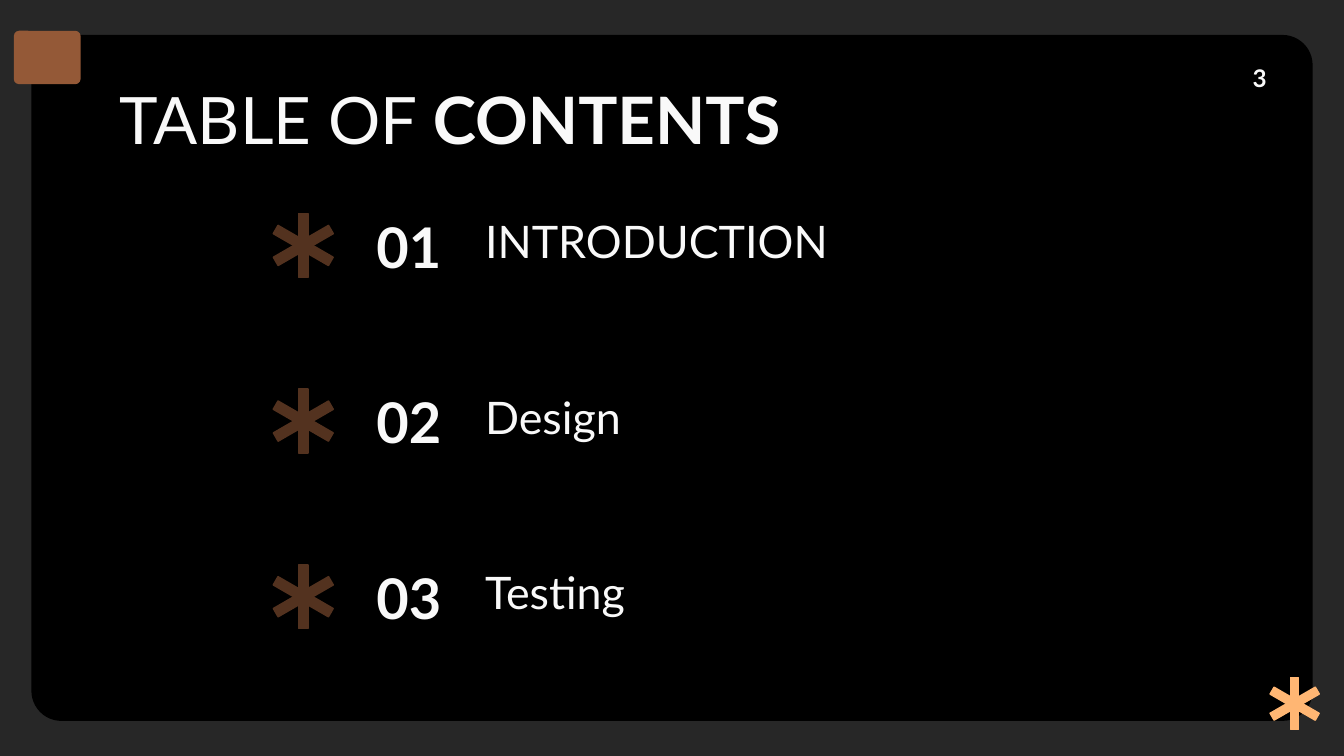
from pptx import Presentation
from pptx.dml.color import RGBColor
from pptx.enum.shapes import MSO_SHAPE
from pptx.enum.text import MSO_ANCHOR, MSO_AUTO_SIZE, PP_ALIGN
from pptx.util import Pt

RECT, ROUND = MSO_SHAPE.RECTANGLE, MSO_SHAPE.ROUNDED_RECTANGLE
TOP, MIDDLE, BOTTOM = MSO_ANCHOR.TOP, MSO_ANCHOR.MIDDLE, MSO_ANCHOR.BOTTOM
LEFT, NO_FIT = PP_ALIGN.LEFT, MSO_AUTO_SIZE.NONE

COLORS = {
    "background": "272727",
    "panel": "000000",
    "tab": "945937",
    "accent": "FFB673",
    "bullet": "53321F",
    "text": "F9F9F9",
}
INSET = Pt(7.2)
FRAME = {"word_wrap": True, "auto_size": NO_FIT, "margin_left": INSET,
         "margin_right": INSET, "margin_top": INSET, "margin_bottom": INSET}
ENTRIES = [("01", "INTRODUCTION"), ("02", "Design"), ("03", "Testing")]
ROW_PITCH = 94.1


def color(name):
    return RGBColor.from_string(COLORS[name])


def set_all(target, values):
    for name, value in values.items():
        setattr(target, name, value)


def place(sp, box):
    set_all(sp, dict(zip(("left", "top", "width", "height"), map(Pt, box))))


def write(sp, runs, size, anchor=TOP):
    tf = sp.text_frame
    set_all(tf, {**FRAME, "vertical_anchor": anchor})
    p = tf.paragraphs[0]
    p.alignment = LEFT
    for text, bold in runs:
        r = p.add_run()
        r.text = text
        set_all(r.font, {"name": "Lato", "size": Pt(size), "bold": bold})
        r.font.color.rgb = color("text")


def add_text(s, box, text, size, bold=False, anchor=TOP):
    sp = s.shapes.add_textbox(*map(Pt, box))
    write(sp, [(text, bold)], size, anchor)


def add_block(shapes, kind, box, fill):
    sp = shapes.add_shape(kind, *map(Pt, box))
    sp.shadow.inherit = False
    sp.fill.solid()
    sp.fill.fore_color.rgb = color(fill)
    sp.line.fill.background()
    return sp


def add_asterisk(s, box, arm, fill):
    x, y, w, h = box
    group = s.shapes.add_group_shape()
    for angle in (0, 300, 60):
        sp = add_block(group.shapes, RECT, (x + (w - arm) / 2, y, arm, h), fill)
        sp.rotation = angle
        sp.line.color.rgb = color(fill)
        sp.line.width = Pt(0.75)


def add_backdrop(s, box):
    x, y, w, h = box
    s.background.fill.solid()
    s.background.fill.fore_color.rgb = color("background")
    panel = add_block(s.shapes, ROUND, (x + 16.8, y + 18.7, w - 33.6, h - 37.5), "panel")
    panel.adjustments[0] = 0.044
    tab = add_block(s.shapes, ROUND, (x + 7.4, y + 16.5, 35.8, 28.6), "tab")
    tab.adjustments[0] = 0.1
    add_asterisk(s, (x + w - 40.4, y + h - 42, 28, 28), 4.3, "accent")
    add_text(s, (x + w - 56, y + 26.6, 43.2, 31), "3", 13, True)


def add_title(s, box):
    title = s.shapes.title
    s.shapes.element.append(title.element)
    place(title, box)
    write(title, [("TABLE OF ", False), ("CONTENTS", True)], 35)


def add_entry(s, box, number, heading):
    x, y, w, h = box
    add_asterisk(s, (x, y + (h - 34.2) / 2, 34.2, 34.2), 5.2, "bullet")
    add_text(s, (x + 49.2, y + 0.2, 57.6, h), number, 30, True, MIDDLE)
    add_text(s, (x + 107.4, y + 4.2, w - 107.4, 38.2), heading, 24, anchor=BOTTOM)


def main():
    prs = Presentation()
    prs.slide_width, prs.slide_height = Pt(720), Pt(405)
    s = prs.slides.add_slide(prs.slide_layouts[5])
    add_backdrop(s, (0, 0, 720, 405))
    add_title(s, (56.9, 35.3, 607, 45.4))
    for i, (number, heading) in enumerate(ENTRIES):
        add_entry(s, (145.4, 108.1 + i * ROW_PITCH, 317, 46.8), number, heading)
    prs.save("out.pptx")


if __name__ == "__main__":
    main()
